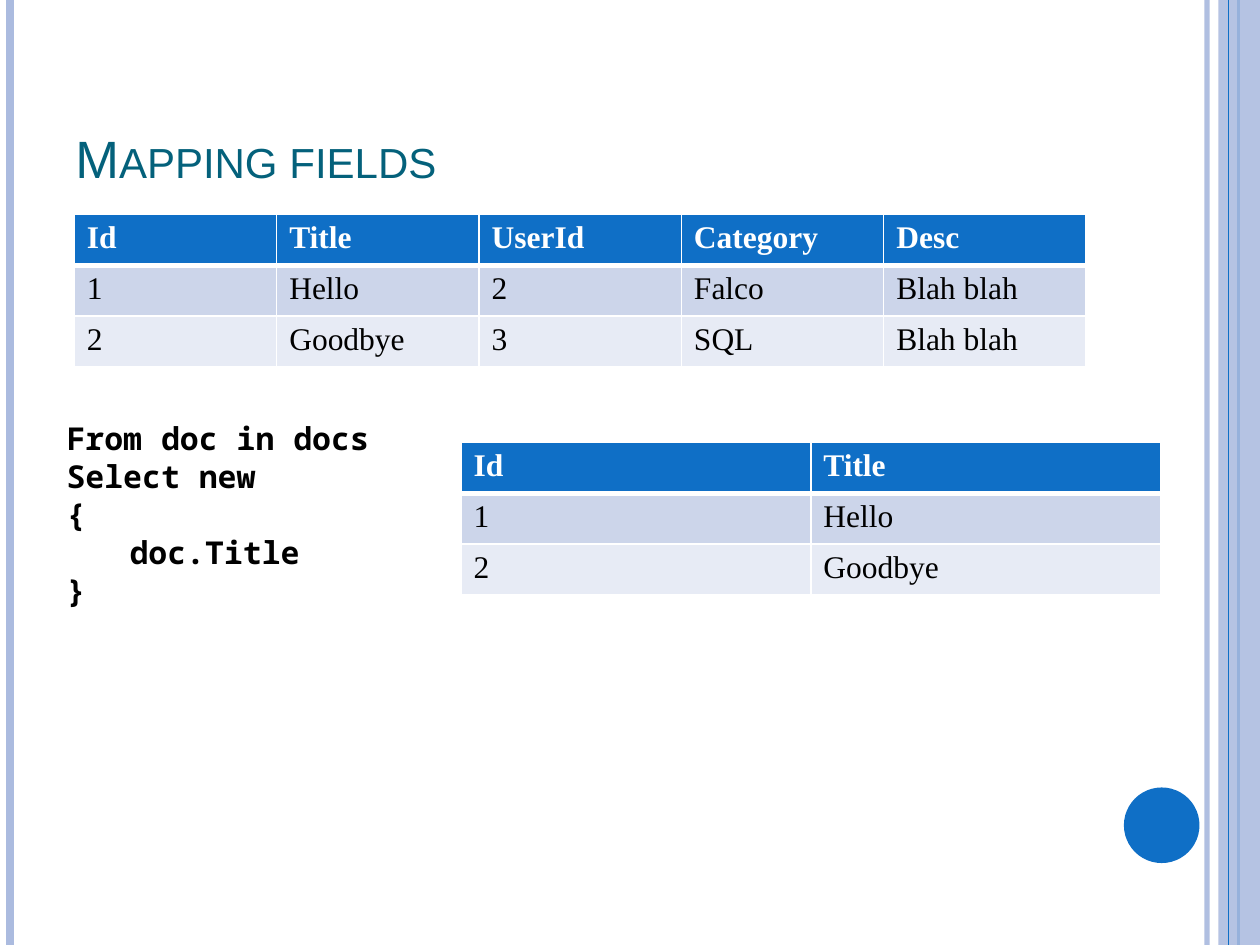
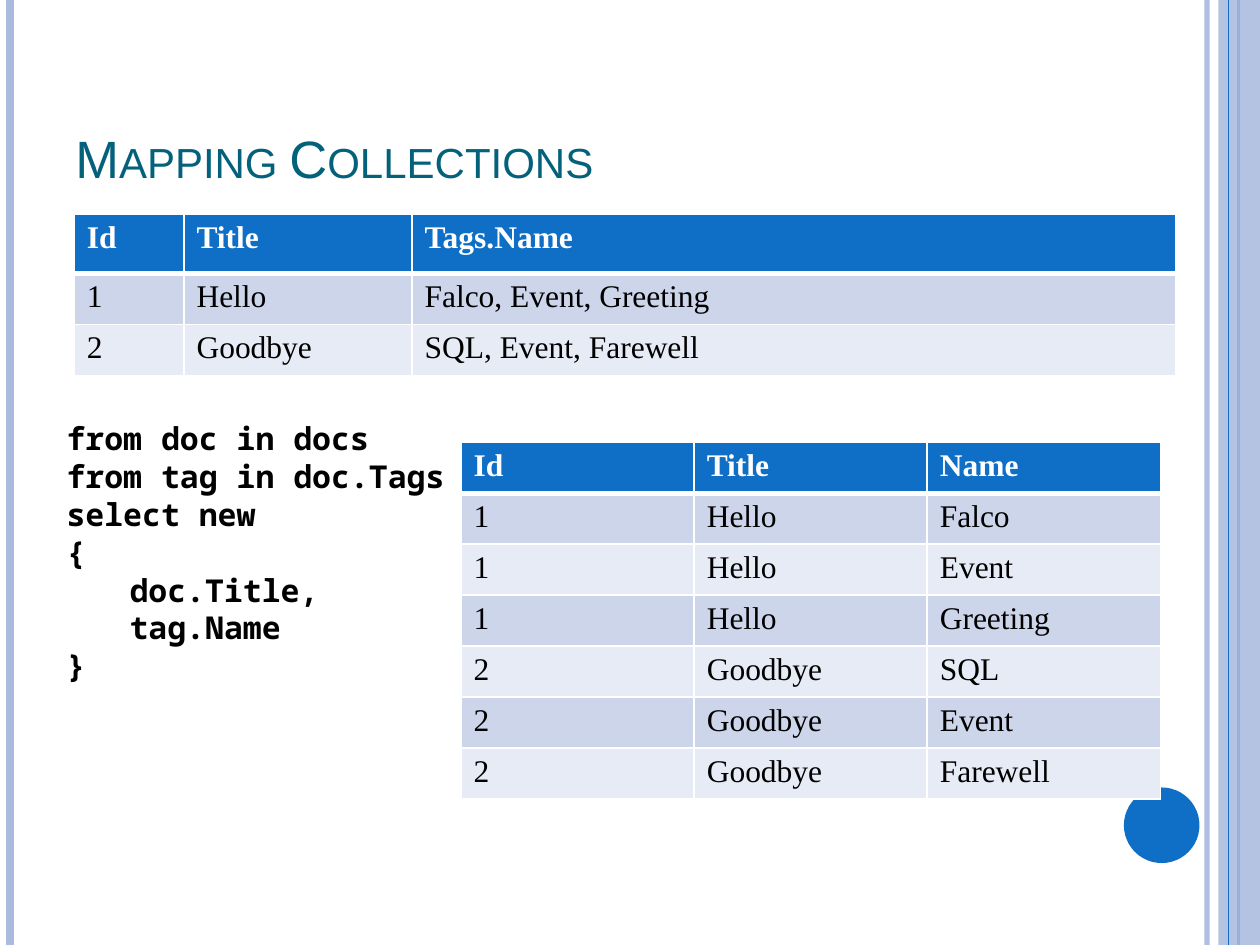
from pptx import Presentation
from pptx.dml.color import RGBColor
from pptx.enum.shapes import MSO_CONNECTOR as Connector, MSO_SHAPE as Shape
from pptx.enum.text import MSO_ANCHOR as Anchor
from pptx.oxml.ns import qn
from pptx.util import Inches, Pt
from lxml.etree import SubElement

WIDTH, HEIGHT = 10, 7.5

THEME = {
    "accent": "0F6FC6",
    "pale": "ABBBDF",
    "border": "FFFFFF",
    "bands": ("CCD5EA", "E7EBF5"),
    "title": {"name": "Arial", "size": Pt(30), "color": "04617B"},
    "code": {"name": "Noto Sans Mono", "size": Pt(18), "color": "000000", "bold": True},
    "head": {"name": "Times New Roman", "size": Pt(18), "color": "FFFFFF", "bold": True},
    "body": {"name": "Times New Roman", "size": Pt(18), "color": "000000", "bold": False},
}

TITLE_BOX = (0.5, 0.3, 8.17, 1.25)
SOURCE_AT = (0.59, 1.7)
CODE_AT = (0.43, 3.28, 4.8)
RESULT_AT = (3.66, 3.51)
RESULT_WIDTH = 5.55
ROW_HEIGHT = 0.405
CODE_LINE = 0.3

SLIDES = [
    {
        "title": "Mapping fields",
        "columns": [1.606] * 5,
        "head_height": ROW_HEIGHT,
        "source": [
            ("Id", "Title", "UserId", "Category", "Desc"),
            ("1", "Hello", "2", "Falco", "Blah blah"),
            ("2", "Goodbye", "3", "SQL", "Blah blah"),
        ],
        "code": ["From doc in docs", "Select new", "{", "\tdoc.Title", "}"],
        "result": [("Id", "Title"), ("1", "Hello"), ("2", "Goodbye")],
    },
    {
        "title": "Mapping Collections",
        "columns": [0.87, 1.81, 6.06],
        "head_height": 0.47,
        "source": [
            ("Id", "Title", "Tags.Name"),
            ("1", "Hello", "Falco, Event, Greeting"),
            ("2", "Goodbye", "SQL, Event, Farewell"),
        ],
        "code": ["from doc in docs", "from tag in doc.Tags", "select new", "{",
                 "\tdoc.Title,", "\ttag.Name", "}"],
        "result": [
            ("Id", "Title", "Name"),
            ("1", "Hello", "Falco"),
            ("1", "Hello", "Event"),
            ("1", "Hello", "Greeting"),
            ("2", "Goodbye", "SQL"),
            ("2", "Goodbye", "Event"),
            ("2", "Goodbye", "Farewell"),
        ],
    },
]


def paint(fill, color, opacity=100):
    fill.solid()
    fill.fore_color.rgb = RGBColor.from_string(color)
    if opacity < 100:
        for node in fill._xPr.iter(qn("a:srgbClr")):
            SubElement(node, qn("a:alpha"), val=str(opacity * 1000))


def write(para, text, style):
    span = para.add_run()
    span.text = text
    for key, value in style.items():
        if key == "color":
            span.font.color.rgb = RGBColor.from_string(value)
        else:
            setattr(span.font, key, value)
    return span


def add_rule(page, x, color, weight, opacity=100):
    rule = page.shapes.add_connector(
        Connector.STRAIGHT, Inches(x), 0, Inches(x), Inches(HEIGHT))
    rule.line.width = Pt(weight)
    paint(rule.line.fill, color, opacity)
    SubElement(rule._element.spPr, qn("a:effectLst"))


def add_block(page, kind, at, color, opacity=100):
    block = page.shapes.add_shape(kind, *map(Inches, at))
    block.shadow.inherit = False
    block.line.fill.background()
    paint(block.fill, color, opacity)


def add_frame(page):
    accent, pale = THEME["accent"], THEME["pale"]
    add_rule(page, 9.58, pale, 3, 93)
    add_rule(page, 0.08, pale, 4.5)
    add_rule(page, 9.83, accent, 1.5)
    add_block(page, Shape.RECTANGLE, (9.67, 0, WIDTH - 9.67, HEIGHT), pale, 87)
    add_rule(page, 9.75, accent, 0.75)
    add_block(page, Shape.OVAL, (8.92, 6.25, 0.6, 0.6), accent)


def add_text(page, at, lines, style, anchor=Anchor.TOP):
    frame = page.shapes.add_textbox(*map(Inches, at)).text_frame
    frame.word_wrap = True
    frame.vertical_anchor = anchor
    for index, line in enumerate(lines):
        para = frame.add_paragraph() if index else frame.paragraphs[0]
        span = write(para, line, style)
    return span


def add_title(page, text):
    span = add_text(page, TITLE_BOX, [text], THEME["title"], Anchor.BOTTOM)
    span.font._element.set("cap", "small")


def add_borders(cell, row):
    weights = {"L": 1, "R": 1, "T": 3 if row == 1 else 1, "B": 3 if row == 0 else 1}
    for side, weight in weights.items():
        line = SubElement(cell._tc.get_or_add_tcPr(), qn("a:ln" + side), w=str(Pt(weight)))
        SubElement(SubElement(line, qn("a:solidFill")), qn("a:srgbClr"), val=THEME["border"])


def add_grid(page, at, columns, rows, head_height=ROW_HEIGHT):
    heights = [head_height] + [ROW_HEIGHT] * (len(rows) - 1)
    size = (sum(columns), sum(heights))
    table = page.shapes.add_table(len(rows), len(columns), *map(Inches, at + size)).table
    table.horz_banding = False
    for column, width in zip(table.columns, columns):
        column.width = Inches(width)
    for row, (values, height) in enumerate(zip(rows, heights)):
        table.rows[row].height = Inches(height)
        color = THEME["bands"][(row - 1) % 2] if row else THEME["accent"]
        for index, value in enumerate(values):
            cell = table.cell(row, index)
            add_borders(cell, row)
            paint(cell.fill, color)
            write(cell.text_frame.paragraphs[0], value, THEME["body" if row else "head"])


deck = Presentation()
deck.slide_width, deck.slide_height = Inches(WIDTH), Inches(HEIGHT)
for content in SLIDES:
    page = deck.slides.add_slide(deck.slide_layouts[6])
    add_frame(page)
    add_title(page, content["title"])
    add_grid(page, SOURCE_AT, content["columns"], content["source"], content["head_height"])
    code, result = content["code"], content["result"]
    add_text(page, CODE_AT + (len(code) * CODE_LINE + 0.1,), code, THEME["code"])
    count = len(result[0])
    add_grid(page, RESULT_AT, [RESULT_WIDTH / count] * count, result)
deck.save("out.pptx")
